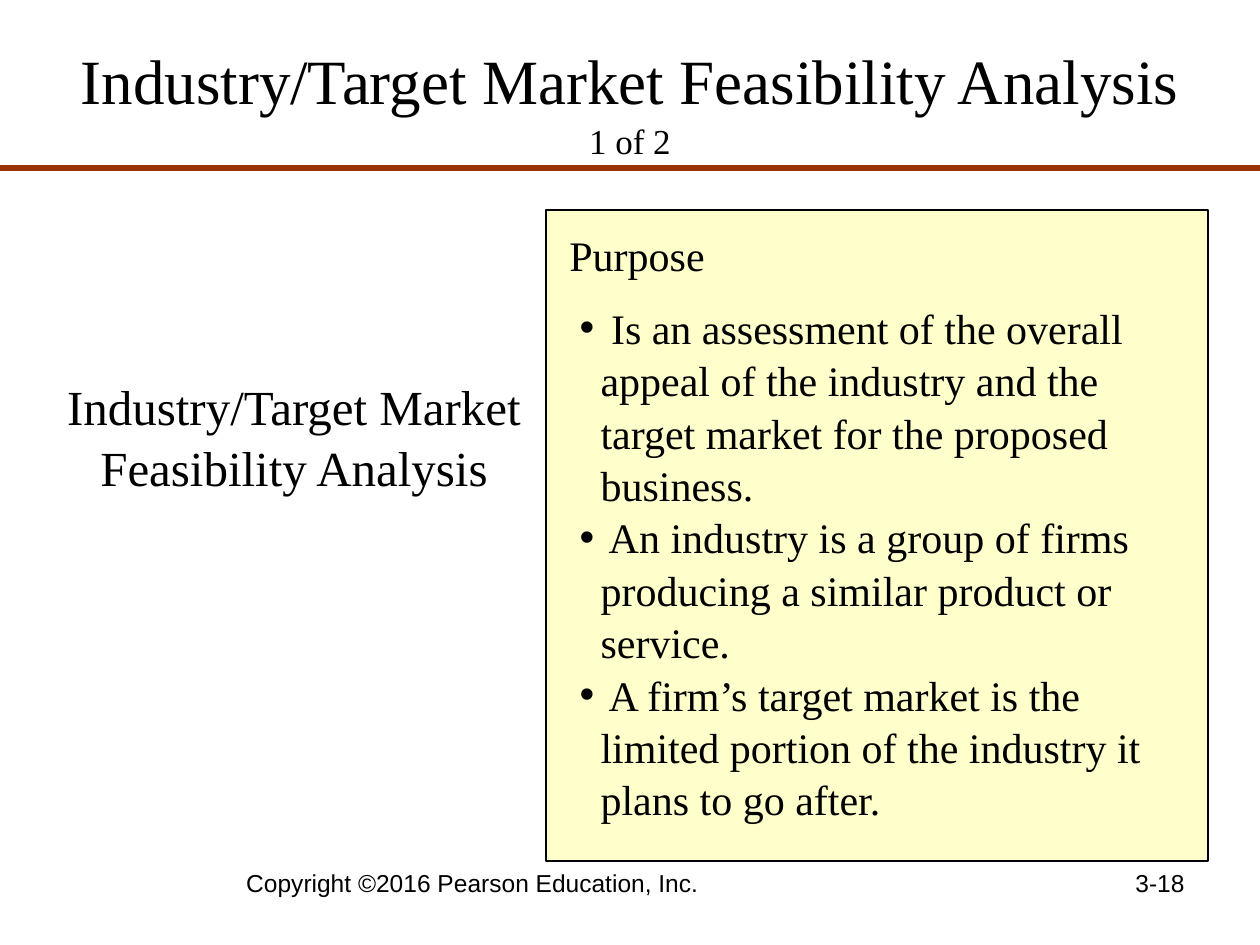
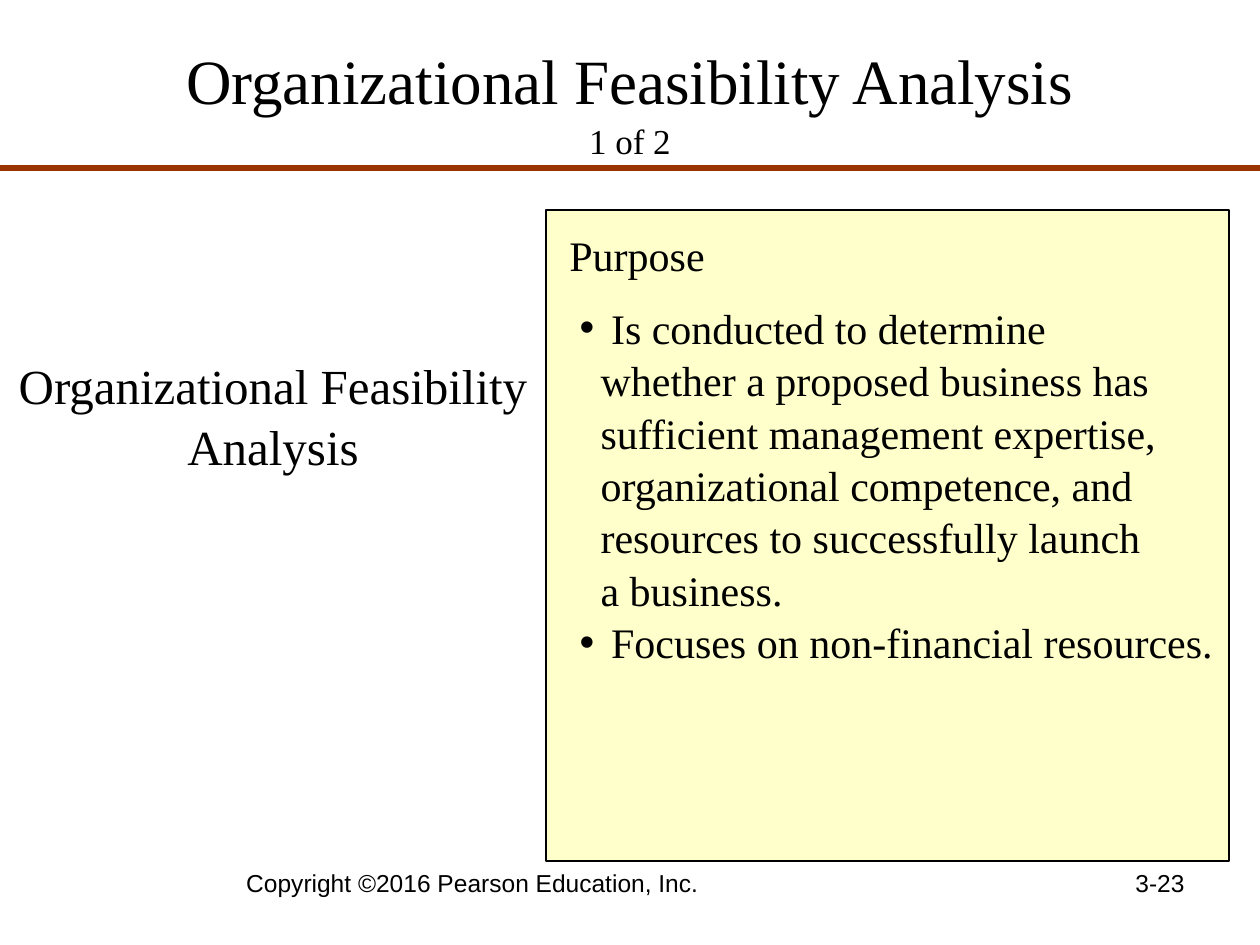
from lxml import etree
from pptx import Presentation
from pptx.dml.color import RGBColor
from pptx.enum.shapes import MSO_CONNECTOR, MSO_SHAPE
from pptx.enum.text import MSO_ANCHOR, MSO_AUTO_SIZE, PP_ALIGN
from pptx.oxml.ns import qn
from pptx.util import Emu, Pt

LEFT, CENTER, RIGHT = PP_ALIGN.LEFT, PP_ALIGN.CENTER, PP_ALIGN.RIGHT
TOP, MIDDLE = MSO_ANCHOR.TOP, MSO_ANCHOR.MIDDLE
NO_AUTOFIT = MSO_AUTO_SIZE.NONE
RECTANGLE = MSO_SHAPE.RECTANGLE
STRAIGHT = MSO_CONNECTOR.STRAIGHT

SERIF, SANS = "Times New Roman", "Arial"
BLACK, RUST, CREAM = "000000", "993300", "FFFFCC"
PX_PER_INCH = 126
SLIDE_WIDTH, SLIDE_HEIGHT = 1260, 945
LINE_SPACING = 1.04
BULLET_INDENT = 21

TITLE_BOX = (63, 21, 1134, 158)
RULE_TOP = 168
COPYRIGHT_BOX = (63, 861, 819, 66)
PAGE_NUMBER_BOX = (903, 861, 294, 66)

SLIDES = [
    {
        "topic": "Industry/Target Market Feasibility Analysis",
        "page": "3-18",
        "topic_box": (21, 368, 546, 131),
        "panel_box": (546, 210, 662, 651),
        "list_width": 630,
        "purposes": [
            " Is an assessment of the overall appeal of the industry and the "
            "target market for the proposed business.",
            " An industry is a group of firms producing a similar product or service.",
            " A firm’s target market is the limited portion of the industry it "
            "plans to go after.",
        ],
    },
    {
        "topic": "Organizational Feasibility Analysis",
        "page": "3-23",
        "topic_box": (0, 347, 546, 131),
        "panel_box": (546, 210, 683, 651),
        "list_width": 672,
        "purposes": [
            " Is conducted to determine\vwhether a proposed business has "
            "sufficient management expertise, organizational competence, and "
            "resources to successfully launch\va business.",
            " Focuses on non-financial resources.",
        ],
    },
]


def px(length):
    return Emu(round(length * 914400 / PX_PER_INCH))


def color(hex_string):
    return RGBColor.from_string(hex_string)


def set_font(font, size, name=SERIF):
    font.name, font.size = name, Pt(size)
    font.color.rgb = color(BLACK)


def place(shape, box):
    shape.left, shape.top, shape.width, shape.height = map(px, box)


def prepare_frame(shape, anchor=TOP):
    frame = shape.text_frame
    frame.word_wrap = True
    frame.auto_size = NO_AUTOFIT
    frame.vertical_anchor = anchor
    return frame


def format_paragraph(paragraph, alignment):
    paragraph.alignment = alignment
    paragraph.line_spacing = LINE_SPACING
    paragraph.space_before = Pt(0)


def add_text(slide, box, text, size, alignment=LEFT, name=SERIF):
    shape = slide.shapes.add_textbox(*map(px, box))
    paragraph = prepare_frame(shape).paragraphs[0]
    paragraph.text = text
    format_paragraph(paragraph, alignment)
    set_font(paragraph.font, size, name)


def add_bullet(paragraph):
    properties = paragraph._p.get_or_add_pPr()
    properties.set("marL", str(px(BULLET_INDENT)))
    properties.set("indent", str(-px(BULLET_INDENT)))
    etree.SubElement(properties, qn("a:buChar"), char="•")


def add_header(slide, topic):
    title = slide.shapes.title
    place(title, TITLE_BOX)
    paragraph = prepare_frame(title, MIDDLE).paragraphs[0]
    paragraph.text = f"{topic}\v1 of 2"
    format_paragraph(paragraph, CENTER)
    for run, size in zip(paragraph.runs, (36, 20)):
        set_font(run.font, size)

    rule = slide.shapes.add_connector(
        STRAIGHT, 0, px(RULE_TOP), px(SLIDE_WIDTH), px(RULE_TOP))
    rule.line.color.rgb = color(RUST)
    rule.line.width = Pt(3)
    etree.SubElement(rule._element.spPr, qn("a:effectLst"))


def add_purpose_panel(slide, box, list_width, purposes):
    left, top, width, height = box
    panel = slide.shapes.add_shape(RECTANGLE, *map(px, box))
    panel.shadow.inherit = False
    panel.fill.solid()
    panel.fill.fore_color.rgb = color(CREAM)
    panel.line.color.rgb = color(BLACK)
    panel.line.width = Pt(0.75)

    add_text(slide, (left + 11, top + 11, 640, 63), "Purpose", 24)

    body = slide.placeholders[1]
    place(body, (left + 21, top + 84, list_width, height - 134))
    # Bring the list in front of the panel
    slide.shapes._spTree.append(body._element)
    frame = prepare_frame(body)
    for index, purpose in enumerate(purposes):
        paragraph = frame.add_paragraph() if index else frame.paragraphs[0]
        paragraph.text = purpose
        add_bullet(paragraph)
        format_paragraph(paragraph, LEFT)
        set_font(paragraph.font, 24)


def add_footer(slide, page):
    add_text(slide, COPYRIGHT_BOX, "Copyright ©2016 Pearson Education, Inc.",
             14, CENTER, SANS)
    add_text(slide, PAGE_NUMBER_BOX, page, 14, RIGHT, SANS)


def add_analysis_slide(presentation, content):
    slide = presentation.slides.add_slide(presentation.slide_layouts[1])
    add_header(slide, content["topic"])
    add_text(slide, content["topic_box"], content["topic"], 28, CENTER)
    add_purpose_panel(slide, content["panel_box"], content["list_width"],
                      content["purposes"])
    add_footer(slide, content["page"])


def main():
    presentation = Presentation()
    presentation.slide_width = px(SLIDE_WIDTH)
    presentation.slide_height = px(SLIDE_HEIGHT)
    for content in SLIDES:
        add_analysis_slide(presentation, content)
    presentation.save("out.pptx")


if __name__ == "__main__":
    main()
